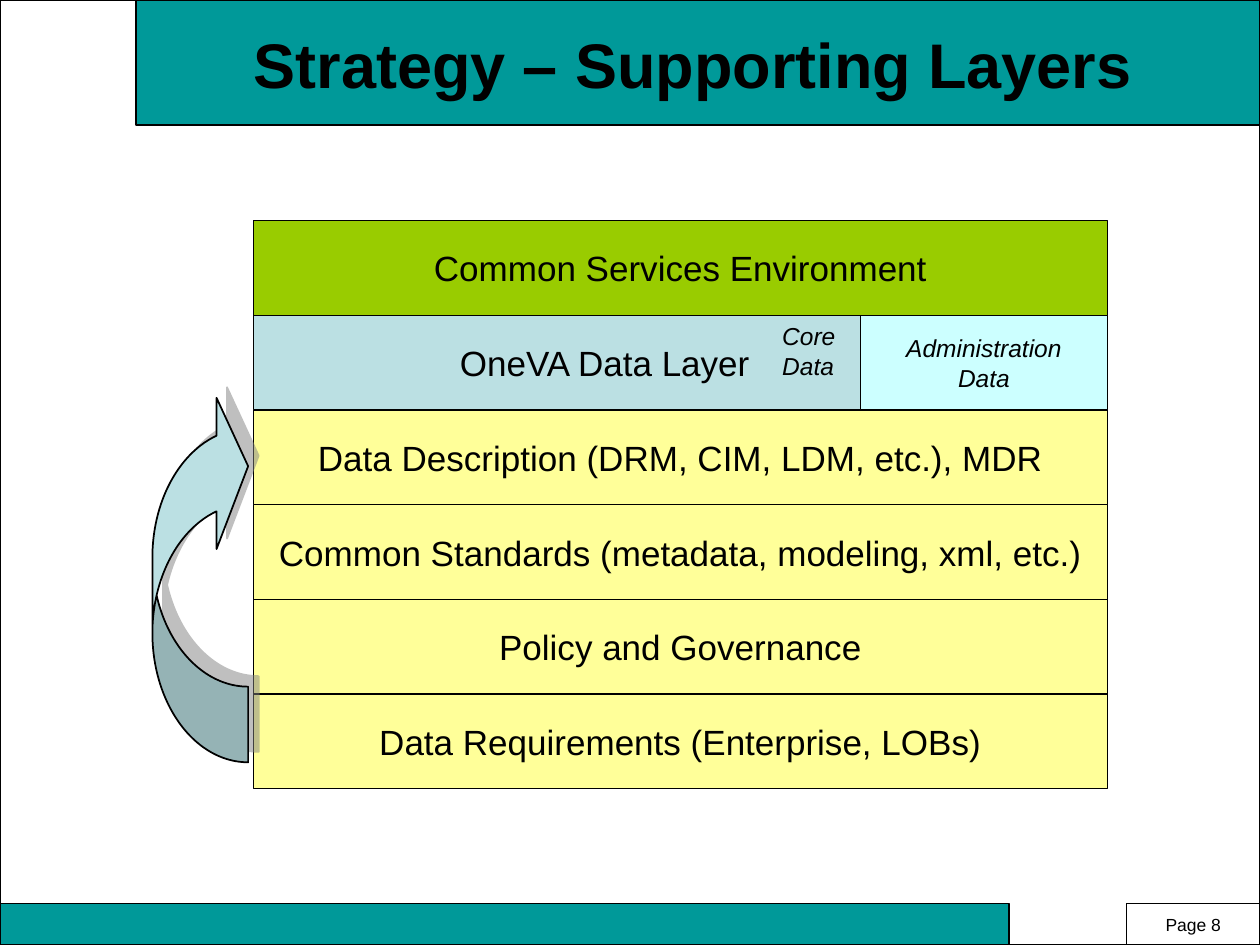
from lxml import etree
from pptx import Presentation
from pptx.dml.color import RGBColor
from pptx.enum.shapes import MSO_SHAPE as SHAPE
from pptx.enum.text import MSO_ANCHOR as ANCHOR, PP_ALIGN as ALIGN
from pptx.oxml import parse_xml
from pptx.oxml.ns import nsdecls, qn
from pptx.util import Inches, Pt

BLACK = RGBColor(0x00, 0x00, 0x00)
WHITE = RGBColor(0xFF, 0xFF, 0xFF)
TEAL = RGBColor(0x00, 0x99, 0x99)
GREEN = RGBColor(0x99, 0xCC, 0x00)
BLUE = RGBColor(0xBB, 0xE0, 0xE3)
CYAN = RGBColor(0xCC, 0xFF, 0xFF)
YELLOW = RGBColor(0xFF, 0xFF, 0x99)
SHADOW = RGBColor(0x80, 0x80, 0x80)

LEFT, TOP, WIDTH = 2.01, 1.75, 6.78
CORE_WIDTH = 4.82
ROW = 4.51 / 6
FOUNDATIONS = [
    "Data Description (DRM, CIM, LDM, etc.), MDR",
    "Common Standards (metadata, modeling, xml, etc.)",
    "Policy and Governance",
    "Data Requirements (Enterprise, LOBs)",
]


class Deck:
    """Draws styled elements on the current slide."""

    font = "Arial"

    def __init__(self, prs):
        self.slide = prs.slides.add_slide(prs.slide_layouts[6])

    def shape(self, kind, x, y, w, h, fill=None, line=1):
        sp = self.slide.shapes.add_shape(
            kind, Inches(x), Inches(y), Inches(w), Inches(h))
        sp.shadow.inherit = False
        if fill is None:
            sp.fill.background()
        else:
            sp.fill.solid()
            sp.fill.fore_color.rgb = fill
        sp.line.color.rgb = BLACK
        sp.line.width = Pt(line)
        return sp

    def set_text(self, sp, text, size, align=ALIGN.CENTER, anchor=ANCHOR.MIDDLE,
                 bold=False, italic=False):
        tf = sp.text_frame
        tf.text = text
        tf.word_wrap = True
        tf.vertical_anchor = anchor
        for p in tf.paragraphs:
            p.alignment = align
            for r in p.runs:
                r.font.name = self.font
                r.font.size = Pt(size)
                r.font.bold = bold
                r.font.italic = italic
                r.font.color.rgb = BLACK

    def bar(self, x, y, w, h, fill=None):
        return self.shape(SHAPE.RECTANGLE, x, y, w, h, fill)

    def layer(self, text, row, fill, x=LEFT, w=WIDTH, size=20, **style):
        sp = self.shape(SHAPE.RECTANGLE, x, TOP + row * ROW, w, ROW, fill, 0.75)
        self.set_text(sp, text, size, **style)
        return sp

    def label(self, text, x, y, w, h, size, **style):
        sp = self.slide.shapes.add_textbox(
            Inches(x), Inches(y), Inches(w), Inches(h))
        self.set_text(sp, text, size, **style)

    def curved_arrow(self, x, y, w, h, fill):
        sp = self.shape(SHAPE.CURVED_RIGHT_ARROW, x, y, w, h, fill)
        for i, value in enumerate((0.79, 1.58, 0.33)):
            sp.adjustments[i] = value
        spPr = sp._element.spPr
        spPr.find(qn("a:xfrm")).set("flipV", "1")
        shadow = parse_xml(
            f'<a:outerShdw {nsdecls("a")} dist="{Pt(8.5)}" dir="18900000" '
            f'algn="ctr" rotWithShape="0"><a:srgbClr val="{SHADOW}"/></a:outerShdw>')
        etree.SubElement(shadow[0], qn("a:alpha")).set("val", "50000")
        spPr.find(qn("a:effectLst")).append(shadow)


def main():
    prs = Presentation()
    prs.slide_width, prs.slide_height = Inches(10), Inches(7.5)
    deck = Deck(prs)

    deck.bar(0, 7.17, 8.01, 0.33, TEAL)
    deck.bar(1.08, 0, 8.92, 0.99, TEAL)
    page = deck.bar(8.94, 7.17, 1.06, 0.33, WHITE)
    deck.set_text(page, "Page 8", 10)
    deck.bar(0, 0, 10, 7.5)
    deck.label("Strategy – Supporting Layers", 1, 0, 9, 1, 36, bold=True)

    for row, text in reversed(list(enumerate(FOUNDATIONS, 2))):
        deck.layer(text, row, YELLOW)
    deck.curved_arrow(1.21, 3.1, 0.76, 2.95, BLUE)
    core = deck.layer("OneVA Data Layer", 1, BLUE, w=CORE_WIDTH, align=ALIGN.LEFT)
    core.text_frame.margin_left = Inches(1.64)
    deck.layer("Common Services Environment", 0, GREEN)
    deck.layer("Administration\nData", 1, CYAN, x=LEFT + CORE_WIDTH,
               w=WIDTH - CORE_WIDTH, size=14, italic=True)
    deck.label("Core\nData", 6.11, 2.5, 0.7, 0.57, 14, align=ALIGN.LEFT,
               anchor=ANCHOR.TOP, italic=True)

    prs.save("out.pptx")


if __name__ == "__main__":
    main()
